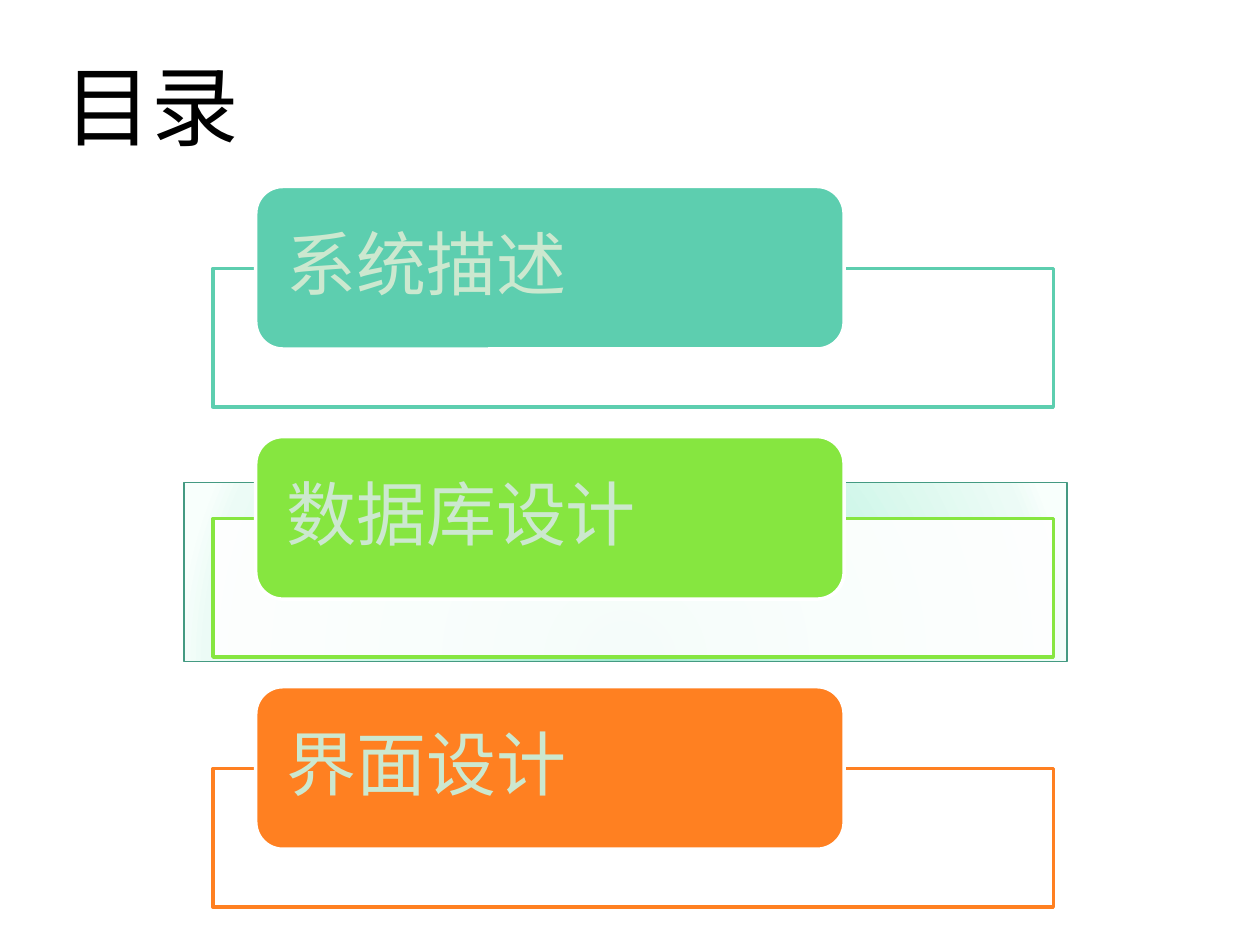
import pptx
import pptx.util
import pptx.dml.color
import pptx.enum.shapes
import pptx.enum.text
import pptx.oxml
import pptx.oxml.ns
import lxml.etree

Inches, Pt = pptx.util.Inches, pptx.util.Pt
RGBColor = pptx.dml.color.RGBColor
SHAPE = pptx.enum.shapes.MSO_SHAPE
ANCHOR = pptx.enum.text.MSO_ANCHOR
qn = pptx.oxml.ns.qn

# Content
TITLE = "目录"
WHITE = RGBColor(0xFF, 0xFF, 0xFF)
BLACK = RGBColor(0, 0, 0)
PALE = RGBColor(0xCC, 0xE8, 0xCF)
FRAME = RGBColor(0x44, 0x9A, 0x82)
SECTIONS = [
    ("系统描述", RGBColor(0x5D, 0xCE, 0xAF)),
    ("数据库设计", RGBColor(0x86, 0xE6, 0x40)),
    ("界面设计", RGBColor(0xFF, 0x80, 0x21)),
]
GRADIENT = [(0, "9DE7CE"), (43, "C3F5E3"), (93, "ECFBF6"), (100, "F8FFFC")]
CJK_FONT, LATIN_FONT = "Noto Sans CJK SC", "Karla"

# Layout in inches
TOP, PITCH, DROP = 1.48, 1.985, 0.65


def add_box(kind, x, y, w, h, line, width, fill=None):
    box = s.shapes.add_shape(kind, Inches(x), Inches(y), Inches(w), Inches(h))
    box.shadow.inherit = False
    box.line.color.rgb = line
    box.line.width = Pt(width)
    if fill is not None:
        box.fill.solid()
        box.fill.fore_color.rgb = fill
    return box


def write(tf, text, size, font, color, anchor, insets):
    tf.word_wrap = True
    tf.auto_size = pptx.enum.text.MSO_AUTO_SIZE.NONE
    tf.vertical_anchor = anchor
    tf.margin_left, tf.margin_top, tf.margin_right, tf.margin_bottom = map(Inches, insets)
    p = tf.paragraphs[0]
    p.alignment = pptx.enum.text.PP_ALIGN.LEFT
    r = p.add_run()
    r.text = text
    r.font.size = Pt(size)
    r.font.name = font
    r.font.color.rgb = color
    ea = lxml.etree.SubElement(r.font._element, qn("a:ea"))
    ea.set("typeface", CJK_FONT)
    return p


prs = pptx.Presentation()
prs.slide_width, prs.slide_height = Inches(10), Inches(7.5)
s = prs.slides.add_slide(prs.slide_layouts[5])
s.background.fill.solid()
s.background.fill.fore_color.rgb = WHITE

# Title
title = s.shapes.title
title.left, title.top, title.width, title.height = map(Inches, (0.51, 0, 9.37, 1.25))
write(title.text_frame, TITLE, 50, CJK_FONT, BLACK, ANCHOR.BOTTOM, (0, 0.05, 0, 0))

# Highlight behind the second section, with a radial gradient
highlight = add_box(SHAPE.RECTANGLE, 1.46, 3.83, 7.01, 1.42, FRAME, 0.75)
stops = "".join(f'<a:gs pos="{pos * 1000}"><a:srgbClr val="{c}"/></a:gs>' for pos, c in GRADIENT)
gradient = pptx.oxml.parse_xml(
    f'<a:gradFill {pptx.oxml.ns.nsdecls("a")} rotWithShape="1"><a:gsLst>{stops}</a:gsLst>'
    '<a:path path="circle"><a:fillToRect l="50000" t="130000" r="50000" b="-30000"/>'
    '</a:path></a:gradFill>')
highlight._element.spPr.find(qn("a:prstGeom")).addnext(gradient)

# Sections: an outlined panel with a rounded bar over its top edge
for i, (name, color) in enumerate(SECTIONS):
    y = TOP + i * PITCH
    panel = add_box(SHAPE.RECTANGLE, 1.69, y + DROP, 6.67, 1.1, color, 2, WHITE)
    fill_color = panel._element.spPr.find(qn("a:solidFill"))[0]
    lxml.etree.SubElement(fill_color, qn("a:alpha")).set("val", "90000")
    bar = add_box(SHAPE.ROUNDED_RECTANGLE, 2.03, y, 4.67, 1.29, WHITE, 2, color)
    p = write(bar.text_frame, name, 40, LATIN_FONT, PALE, ANCHOR.MIDDLE, (0.18, 0, 0.18, 0))
    p.line_spacing = 0.9

prs.save("out.pptx")
